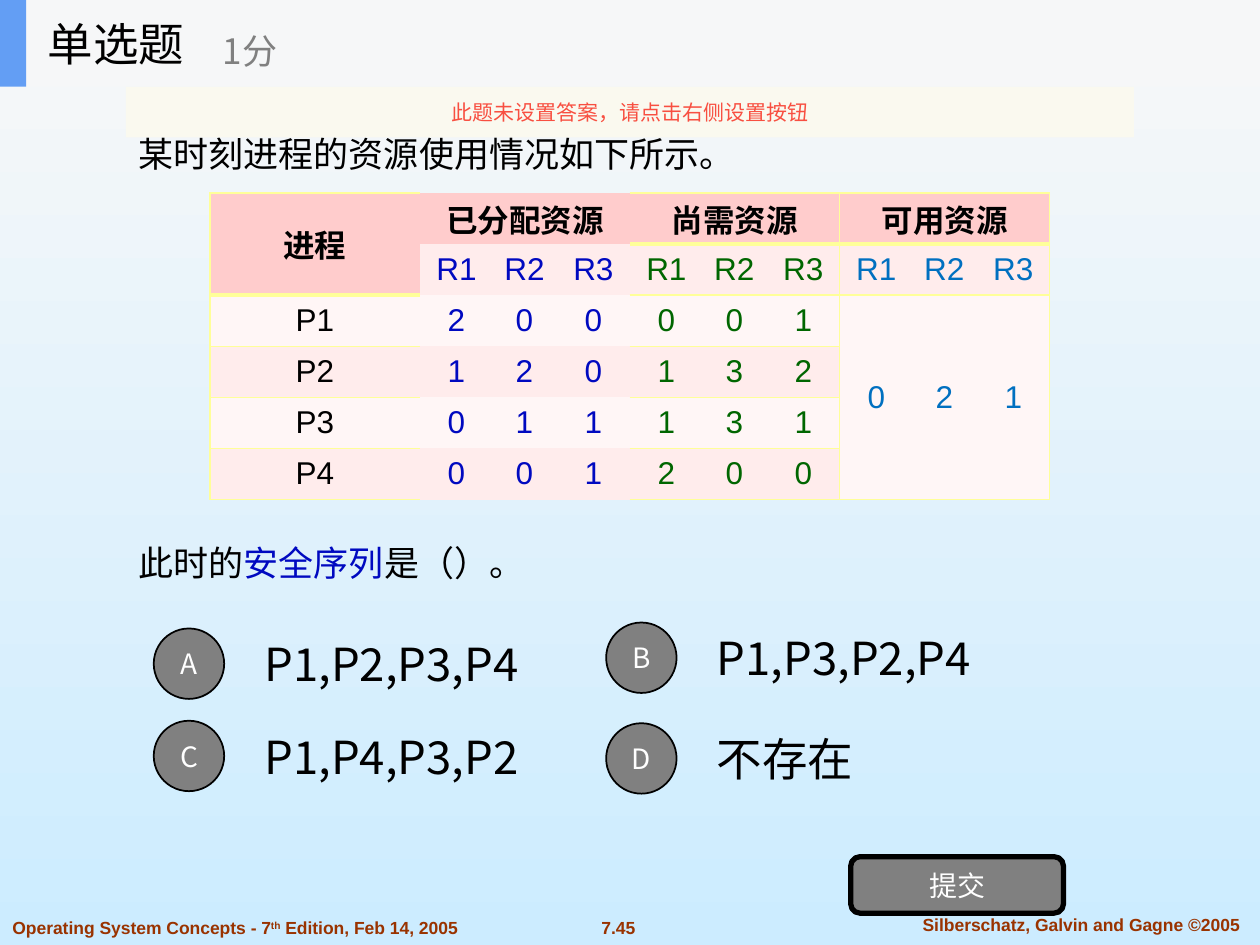
from dataclasses import dataclass
from typing import Any

import pptx
import pptx.dml.color
import pptx.enum.shapes
import pptx.enum.text
import pptx.oxml
import pptx.oxml.ns
import pptx.util
from lxml import etree
from pptx.util import Cm, Pt

MSO = pptx.enum.shapes.MSO_SHAPE
ALIGN = pptx.enum.text.PP_ALIGN
ANCHOR = pptx.enum.text.MSO_ANCHOR
qn = pptx.oxml.ns.qn
NO_GRID_STYLE = "{2D5ABB26-0587-4C30-8999-92F81FD0307C}"


@dataclass(frozen=True)
class Theme:
    cjk: str = "Noto Sans CJK SC"
    latin: str = "Arial"
    ink: str = "000000"
    white: str = "FFFFFF"
    grey: str = "808080"
    blue: str = "0009C0"
    green: str = "006600"
    sky: str = "0070C0"
    footer: str = "993300"
    warning: str = "F84F41"
    banner: str = "FBFAEF"
    header: str = "F6F7F8"
    stripe: str = "639EF4"
    bg_top: str = "F8F8F8"
    bg_bottom: str = "CCECFF"
    rule: str = "FFFF99"
    head_fill: str = "FFCCCC"
    bands: tuple[str, str] = ("FFF6F6", "FFECEC")
    title_pt: int = 26
    body_pt: int = 20
    table_pt: int = 18
    label_pt: int = 16
    note_pt: int = 12
    footer_pt: int = 10


T = Theme()


@dataclass(frozen=True)
class Box:
    """Place and size in centimetres."""
    x: float
    y: float
    w: float
    h: float

    def emu(self) -> tuple[int, int, int, int]:
        return Cm(self.x), Cm(self.y), Cm(self.w), Cm(self.h)


@dataclass(frozen=True)
class Option:
    letter: str
    answer: str
    x: float
    y: float


OPTIONS = [
    Option("A", "P1,P2,P3,P4", 3.1, 12.67),
    Option("B", "P1,P3,P2,P4", 12.22, 12.55),
    Option("C", "P1,P4,P3,P2", 3.1, 14.53),
    Option("D", "不存在", 12.22, 14.58),
]

RESOURCES = "R1 R2 R3"
ROWS = [
    ["进程", "已分配资源", "尚需资源", "可用资源"],
    ["", RESOURCES, RESOURCES, RESOURCES],
    ["P1", "2 0 0", "0 0 1", "0 2 1"],
    ["P2", "1 2 0", "1 3 2", ""],
    ["P3", "0 1 1", "1 3 1", ""],
    ["P4", "0 0 1", "2 0 0", ""],
]
COLUMN_COLORS = [T.ink, T.blue, T.green, T.sky]
COLUMN_EDGES = ["LTB", "", "RTB", "LRTB"]
TAB_STOPS = [0.74, 2.11, 3.5]


def rgb(value: str) -> Any:
    return pptx.dml.color.RGBColor.from_string(value)


def add_run(p: Any, text: str, size: int, color: str, font: str = T.cjk,
            bold: bool = False) -> Any:
    r = p.add_run()
    r.text = text
    for name, value in {"size": Pt(size), "name": font, "bold": bold}.items():
        setattr(r.font, name, value)
    r.font.color.rgb = rgb(color)
    if font == T.cjk:
        etree.SubElement(r._r.get_or_add_rPr(), qn("a:ea")).set("typeface", font)
    return r


def format_frame(tf: Any, anchor: Any = ANCHOR.MIDDLE, wrap: bool = True) -> Any:
    values = {"word_wrap": wrap, "vertical_anchor": anchor,
              "auto_size": pptx.enum.text.MSO_AUTO_SIZE.NONE}
    for name, value in values.items():
        setattr(tf, name, value)
    return tf.paragraphs[0]


def add_text(slide: Any, box: Box, text: str, size: int, color: str,
             align: Any = ALIGN.LEFT, **font: Any) -> Any:
    p = format_frame(slide.shapes.add_textbox(*box.emu()).text_frame)
    p.alignment = align
    add_run(p, text, size, color, **font)
    return p


def add_panel(slide: Any, kind: Any, box: Box, fill: str, line_pt: float = 0,
              text: str = "", size: int = T.label_pt, color: str = T.white) -> Any:
    sp = slide.shapes.add_shape(kind, *box.emu())
    sp.shadow.inherit = False
    sp.fill.solid()
    sp.fill.fore_color.rgb = rgb(fill)
    if line_pt:
        sp.line.color.rgb = rgb(T.ink)
        sp.line.width = Pt(line_pt)
    else:
        sp.line.fill.background()
    if text:
        p = format_frame(sp.text_frame)
        sp.text_frame.margin_left = sp.text_frame.margin_right = 0
        p.alignment = ALIGN.CENTER
        add_run(p, text, size, color)
    return sp


def add_edge(cell: Any, side: str, width: float) -> None:
    ln = etree.SubElement(cell._tc.get_or_add_tcPr(), qn(f"a:ln{side}"), w=str(Pt(width)))
    fill = etree.SubElement(ln, qn("a:solidFill"))
    etree.SubElement(fill, qn("a:srgbClr"), val=T.rule)


def edge_width(row: int, col: int) -> int:
    """Width of the line under a cell: thick below the column headings."""
    return 3 if row == (1 if col == 0 else 0) else 1


def fill_cell(cell: Any, row: int, col: int, text: str) -> None:
    for side in COLUMN_EDGES[col]:
        width = 1
        if side in "TB":
            width = edge_width(row - (side == "T"), col)
        add_edge(cell, side, width)
    cell.fill.solid()
    cell.fill.fore_color.rgb = rgb(T.head_fill if row == 0 else T.bands[row % 2])
    cell.vertical_anchor = ANCHOR.MIDDLE
    for side in ("left", "right", "top", "bottom"):
        setattr(cell, f"margin_{side}", 0)
    if not text:
        return
    p = cell.text_frame.paragraphs[0]
    p.alignment = ALIGN.CENTER
    if " " in text:
        p.alignment = ALIGN.LEFT
        tabs = etree.SubElement(p._p.get_or_add_pPr(), qn("a:tabLst"))
        for stop in TAB_STOPS:
            etree.SubElement(tabs, qn("a:tab"), pos=str(Cm(stop)), algn="ctr")
        text = "\t" + text.replace(" ", "\t")
    color = T.ink if row == 0 else COLUMN_COLORS[col]
    add_run(p, text, T.table_pt, color, T.latin, row == 0)


def add_resource_table(slide: Any) -> None:
    frame = slide.shapes.add_table(len(ROWS), 4, *Box(4.23, 3.89, 16.93, 6.18).emu())
    table = frame.table
    table.first_row = table.horz_banding = False
    table._tbl.tblPr.find(qn("a:tableStyleId")).text = NO_GRID_STYLE
    for row, texts in enumerate(ROWS):
        for col, text in enumerate(texts):
            fill_cell(table.cell(row, col), row, col, text)
    table.cell(0, 0).merge(table.cell(1, 0))
    table.cell(2, 3).merge(table.cell(5, 3))


def place(sp: Any, box: Box) -> None:
    sp.left, sp.top, sp.width, sp.height = box.emu()


def write_question(sp: Any) -> None:
    place(sp, Box(2.54, 2.54, 20.32, 9.7))
    tf = sp.text_frame
    paragraphs = [format_frame(tf, ANCHOR.TOP), tf.add_paragraph()]
    lines = [[("某时刻进程的资源使用情况如下所示。", T.ink)],
             [("此时的", T.ink), ("安全序列", T.blue), ("是（）。", T.ink)]]
    for p, line, gap in zip(paragraphs, lines, (0, 210)):
        pPr = p._p.get_or_add_pPr()
        pPr.set("marL", "0")
        pPr.set("indent", "0")
        etree.SubElement(pPr, qn("a:buNone"))
        p.space_before = Pt(gap)
        for text, color in line:
            add_run(p, text, T.body_pt, color)


def add_header(slide: Any) -> None:
    add_panel(slide, MSO.RECTANGLE, Box(0, 0, 25.4, 1.75), T.header)
    add_panel(slide, MSO.RECTANGLE, Box(0, 0, 0.53, 1.75), T.stripe)
    title = slide.shapes.title
    slide.shapes._spTree.append(title._element)  # in front of the header band
    place(title, Box(0.71, 0, 5.28, 1.75))
    p = format_frame(title.text_frame)
    p.alignment = ALIGN.LEFT
    add_run(p, "单选题", T.title_pt, T.ink)
    add_text(slide, Box(4.24, 0.3, 6.35, 1.42), "1分", T.body_pt, T.grey)
    banner = add_panel(slide, MSO.RECTANGLE, Box(2.54, 1.75, 20.32, 1.02), T.banner, 0,
                       "此题未设置答案，请点击右侧设置按钮", T.note_pt, T.warning)
    color = banner._element.spPr.find(qn("a:solidFill"))[0]
    etree.SubElement(color, qn("a:alpha"), val="90000")


def add_footer(slide: Any) -> None:
    style = {"size": T.footer_pt, "color": T.footer, "font": T.latin, "bold": True}
    p = add_text(slide, Box(0, 18.36, 10.64, 0.69), "Operating System Concepts - 7", **style)
    add_run(p, "th", **style).font._element.set("baseline", "30000")
    add_run(p, " Edition, Feb 14, 2005", **style)
    add_text(slide, Box(11.79, 18.36, 1.35, 0.69), "7.45", align=ALIGN.CENTER, **style)
    add_text(slide, Box(18.2, 18.29, 7.19, 0.69), "Silberschatz, Galvin and Gagne ©2005",
             align=ALIGN.CENTER, **style)


def main() -> None:
    prs = pptx.Presentation()
    prs.slide_width, prs.slide_height = Cm(25.4), Cm(19.05)
    slide = prs.slides.add_slide(prs.slide_layouts[1])
    fill = slide.background.fill
    fill.gradient()
    fill.gradient_angle = 270
    for stop, color, position in zip(fill.gradient_stops, (T.bg_top, T.bg_bottom), (0, 1)):
        stop.color.rgb = rgb(color)
        stop.position = position
    add_footer(slide)
    write_question(slide.placeholders[1])
    for o in OPTIONS:
        add_text(slide, Box(o.x + 1.98, o.y - 0.18, 5.9, 1.78), o.answer, T.title_pt, T.ink)
        add_panel(slide, MSO.OVAL, Box(o.x, o.y, 1.42, 1.42), T.grey, 1, o.letter)
    add_panel(slide, MSO.ROUNDED_RECTANGLE, Box(17.15, 17.27, 4.29, 1.14), T.grey, 3, "提交")
    add_resource_table(slide)
    add_header(slide)
    prs.save("out.pptx")


if __name__ == "__main__":
    main()
